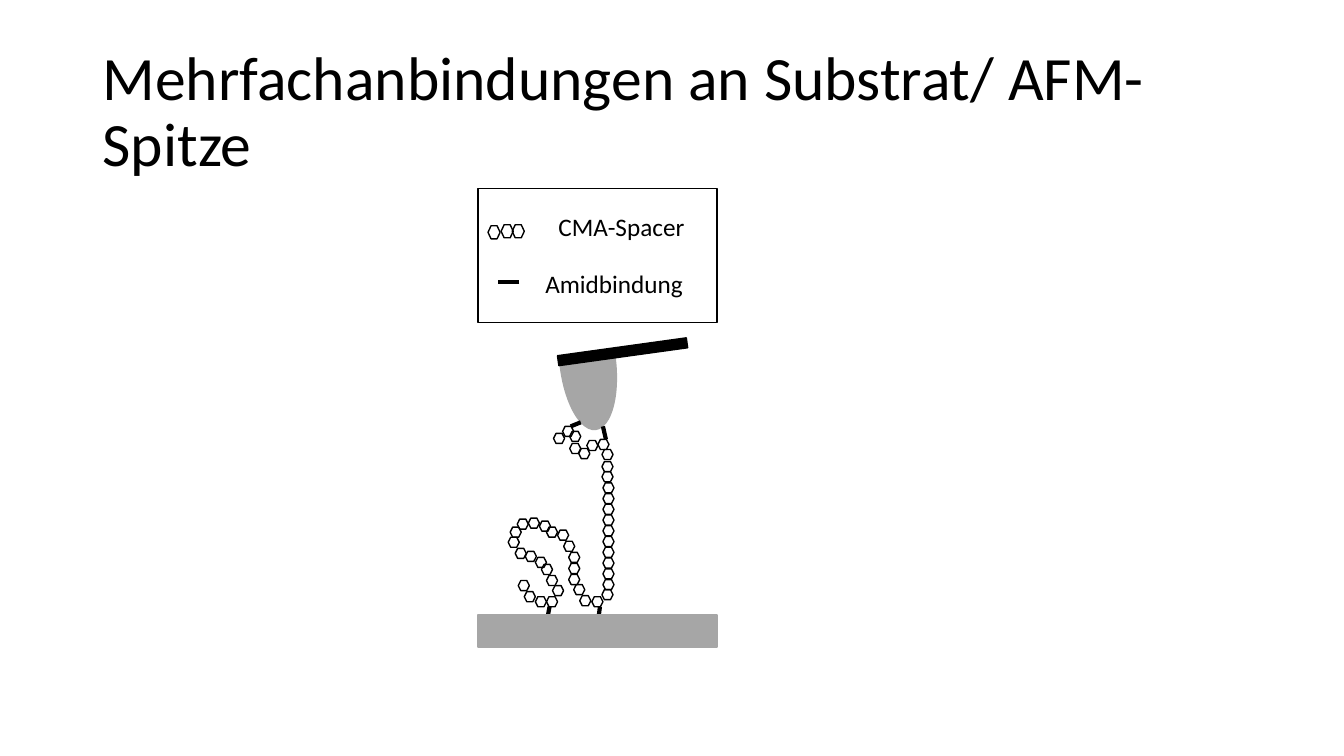
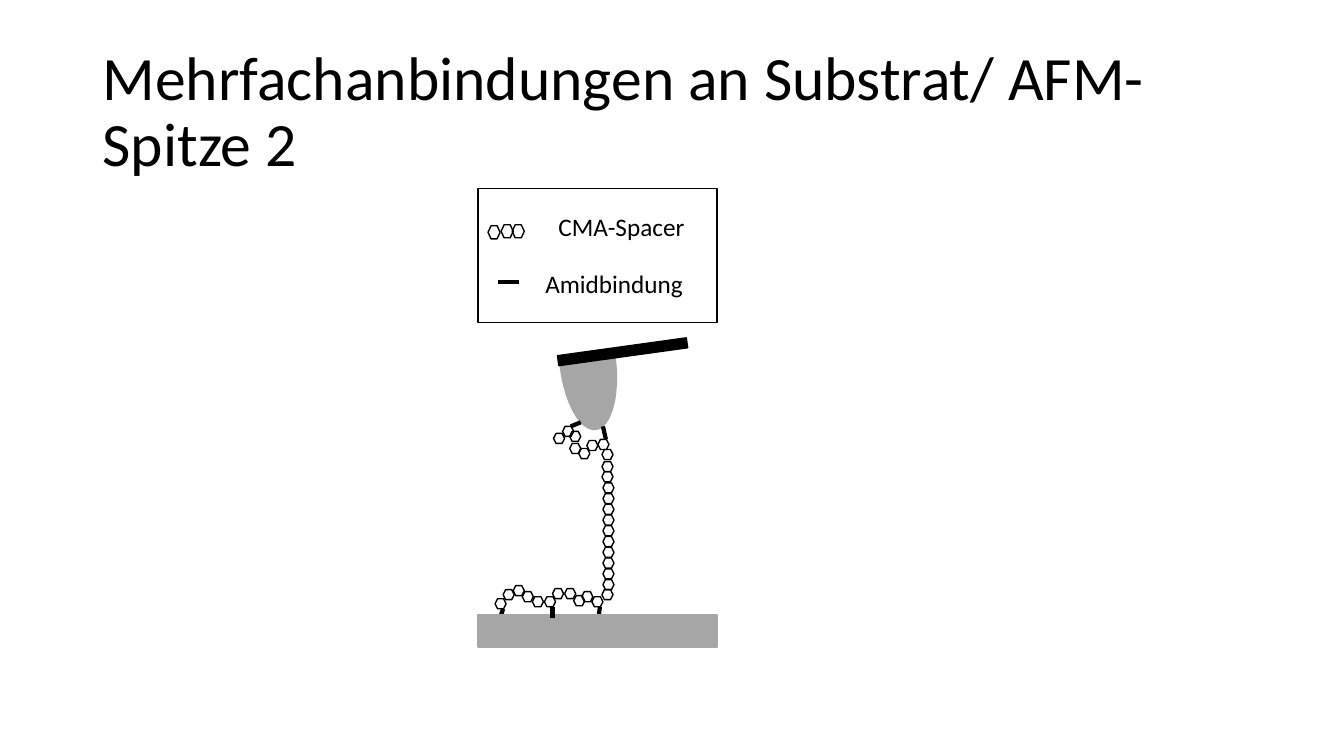
"""Build two slides on multiple bonds between a spacer, a substrate and an AFM tip."""
from lxml.etree import SubElement
from pptx import Presentation
from pptx.dml.color import RGBColor
from pptx.enum.shapes import MSO_CONNECTOR as Link, MSO_SHAPE as Kind
from pptx.enum.text import MSO_ANCHOR as Anchor
from pptx.oxml.ns import qn
from pptx.util import Inches, Pt

BLACK = RGBColor(0x00, 0x00, 0x00)
GREY = RGBColor(0xA6, 0xA6, 0xA6)
FONT = "Calibri"
COLUMNS, ROWS = 1333, 750
CELL = Inches(0.01)

RING = (11, 10)
LEGEND_RING = (12, 13)
STRAND_RINGS = 10
STRAND_BOTTOM, STRAND_TOP = 575, 479
STRAND_STEP = (STRAND_BOTTOM - STRAND_TOP) / (STRAND_RINGS - 1)
STRAND = [(598, STRAND_BOTTOM - i * STRAND_STEP) for i in range(STRAND_RINGS)]
FOOT = [(587, 592), (597, 585)]
TIP_CURL = [(597, 468), (597, 458), (597, 446), (593, 436), (582, 437),
            (574, 445), (565, 440), (565, 428), (558, 423), (549, 430)]
SPACER = FOOT + STRAND + TIP_CURL
FREE_LOOP = [(514, 576), (520, 587), (531, 592), (542, 592), (548, 581),
             (542, 571), (537, 560), (531, 553), (521, 547), (511, 544),
             (504, 533), (506, 523), (513, 515), (524, 514), (535, 517),
             (542, 523), (553, 526), (559, 537), (564, 548), (564, 559),
             (564, 570), (569, 580), (575, 591)]
FLAT_TAIL = [(577, 587), (569, 591), (560, 584), (548, 584), (540, 592),
             (528, 592), (518, 587), (509, 581), (499, 585), (491, 594)]
LEGEND_RINGS = [(484, 224), (497, 223), (508, 223)]

TIP_BONDS = [((598, 423), (601, 436)), ((576, 419), (566, 423))]
FOOT_BOND = ((594, 610), (595, 602))
LOOP_BOND = ((543, 613), (545, 602))
TAIL_BOND = ((496, 613), (499, 604))
MIDDLE_BOND = ((548, 602), (548, 613))
LEGEND_BOND = ((515, 280), (494, 280))


def cells(*counts):
    """Turn grid counts into slide lengths."""
    return [round(count * CELL) for count in counts]


def add_text(slide, text, box, size=18, anchor=Anchor.TOP, spacing=None):
    """Write one paragraph of text in a box."""
    frame = slide.shapes.add_textbox(*cells(*box)).text_frame
    frame.word_wrap = True
    frame.vertical_anchor = anchor
    paragraph = frame.paragraphs[0]
    paragraph.text = text
    paragraph.line_spacing = spacing
    paragraph.font.name = FONT
    paragraph.font.size = Pt(size)
    paragraph.font.color.rgb = BLACK


def add_figure(slide, kind, box, fill=None, line=BLACK, rotation=0, angles=()):
    """Draw a preset shape, hollow unless a fill is given."""
    figure = slide.shapes.add_shape(kind, *cells(*box))
    figure.shadow.inherit = False
    figure.rotation = rotation
    for index, angle in enumerate(angles):
        figure.adjustments[index] = angle
    if fill is None:
        figure.fill.background()
    else:
        figure.fill.solid()
        figure.fill.fore_color.rgb = fill
    figure.line.color.rgb = line
    figure.line.width = Pt(1)


def add_chain(slide, places, ring=RING):
    """Draw sugar rings at the given places."""
    for place in places:
        add_figure(slide, Kind.HEXAGON, place + ring)


def add_bonds(slide, bonds):
    """Draw amide bonds as thick strokes."""
    for start, end in bonds:
        bond = slide.shapes.add_connector(Link.STRAIGHT, *cells(*start, *end))
        bond.line.color.rgb = BLACK
        bond.line.width = Pt(3)
        SubElement(bond._element.spPr, qn("a:effectLst"))


def add_tip(slide):
    """Draw the AFM tip under its tilted cantilever."""
    add_figure(slide, Kind.CHORD, (516, 332, 134, 55), GREY, GREY, 263.3, (53, 162))
    add_figure(slide, Kind.RECTANGLE, (553, 344, 129, 10), BLACK, rotation=352.1)


def add_legend(slide):
    """Explain the ring and bond symbols in a frame."""
    add_bonds(slide, [LEGEND_BOND])
    add_chain(slide, LEGEND_RINGS, LEGEND_RING)
    add_text(slide, "CMA-Spacer", (544, 205, 168, 51))
    add_text(slide, "Amidbindung", (531, 261, 181, 51))
    add_figure(slide, Kind.RECTANGLE, (474, 187, 237, 133))


def add_scene(deck, title, chain, bonds_behind, bonds_in_front=()):
    """Build one slide showing a spacer chain between substrate and tip."""
    slide = deck.slides.add_slide(deck.slide_layouts[6])
    add_text(slide, title, (92, 40, 1150, 145), size=44,
             anchor=Anchor.MIDDLE, spacing=0.9)
    add_chain(slide, chain)
    add_tip(slide)
    add_bonds(slide, TIP_BONDS + bonds_behind)
    add_figure(slide, Kind.RECTANGLE, (474, 610, 237, 32), GREY, GREY)
    add_bonds(slide, bonds_in_front)
    add_legend(slide)


def main():
    """Build and save the deck."""
    deck = Presentation()
    deck.slide_width, deck.slide_height = cells(COLUMNS, ROWS)
    title = "Mehrfachanbindungen an Substrat/ AFM-Spitze"
    add_scene(deck, title, FREE_LOOP + SPACER, [FOOT_BOND, LOOP_BOND])
    add_scene(deck, f"{title} 2", SPACER + FLAT_TAIL,
              [FOOT_BOND, TAIL_BOND], [MIDDLE_BOND])
    deck.save("out.pptx")


if __name__ == "__main__":
    main()
